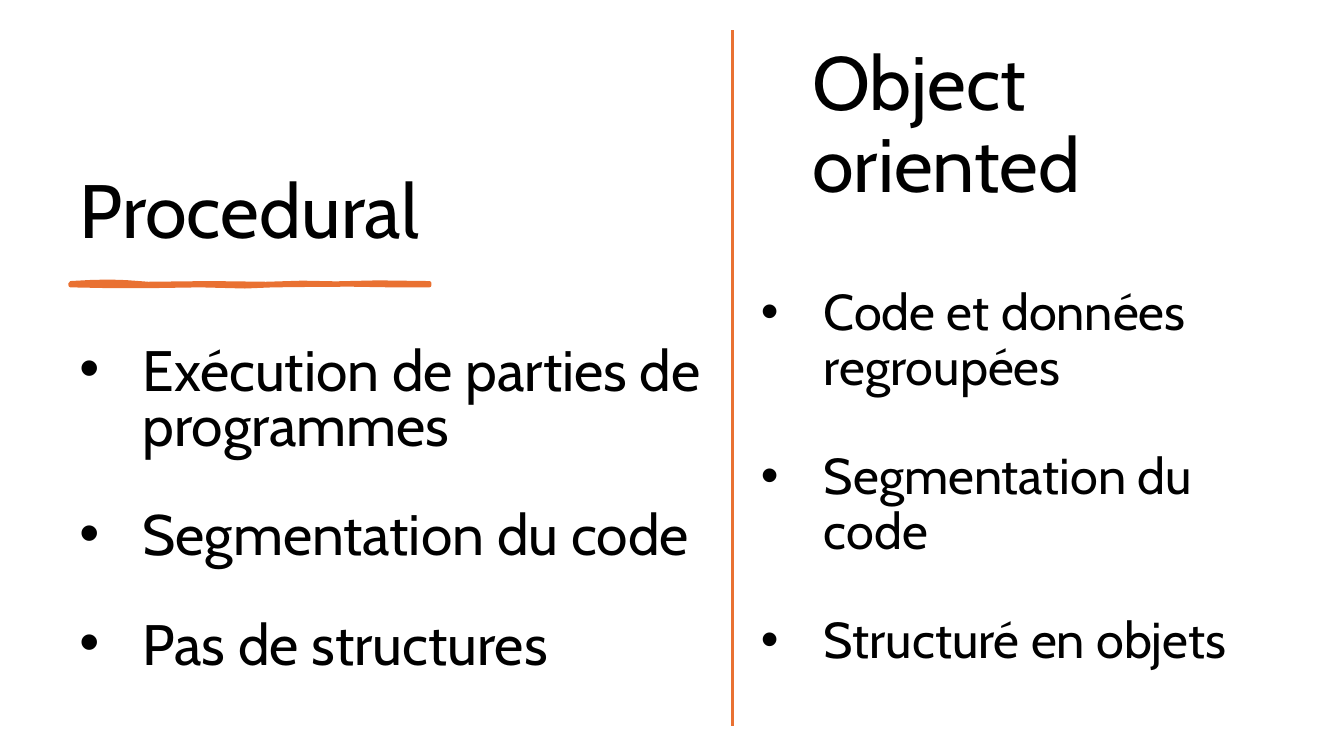
from dataclasses import dataclass

from pptx import Presentation
from pptx.dml.color import RGBColor
from pptx.enum.shapes import MSO_CONNECTOR as Connector
from pptx.enum.text import MSO_ANCHOR as Anchor
from pptx.oxml.ns import qn
from pptx.util import Pt
from lxml.etree import SubElement


@dataclass(frozen=True)
class Theme:
    font: str = "Cabin"
    ink: RGBColor = RGBColor(0x00, 0x00, 0x00)
    accent: RGBColor = RGBColor(0xE9, 0x71, 0x32)
    paper: RGBColor = RGBColor(0xFF, 0xFF, 0xFF)
    title_size: float = 54
    left_size: float = 40.7
    right_size: float = 36
    bullet_indent: float = 45
    bullet_gap: float = 39.3
    stroke_width: float = 3
    divider_width: float = 2


def apply_format(target, values):
    for name, value in values.items():
        setattr(target, name, value)


class SlideBuilder:
    def __init__(self, slide, theme):
        self.slide = slide
        self.theme = theme
        fill = slide.background.fill
        fill.solid()
        fill.fore_color.rgb = theme.paper

    def text(self, box, lines, size, spacing, anchor=Anchor.TOP, gap=0):
        shape = self.slide.shapes.add_textbox(*map(Pt, box))
        frame = shape.text_frame
        apply_format(frame, {"word_wrap": True, "vertical_anchor": anchor})
        frame.text = "\n".join(lines)
        for index, paragraph in enumerate(frame.paragraphs):
            apply_format(paragraph, {
                "line_spacing": spacing,
                "space_before": Pt(gap if index else 0),
            })
            apply_format(paragraph.runs[0].font, {"name": self.theme.font, "size": Pt(size)})
            paragraph.runs[0].font.color.rgb = self.theme.ink
        return frame

    def title(self, box, words):
        self.text(box, [words], self.theme.title_size, 0.9, Anchor.BOTTOM)

    def bullets(self, box, lines, size, spacing):
        frame = self.text(box, lines, size, spacing, gap=self.theme.bullet_gap)
        indent = Pt(self.theme.bullet_indent)
        for paragraph in frame.paragraphs:
            properties = paragraph._p.get_or_add_pPr()
            properties.set("marL", str(indent))
            properties.set("indent", str(-indent))
            SubElement(properties, qn("a:buFont"), typeface="Arial")
            SubElement(properties, qn("a:buChar"), char="•")

    def divider(self, x, top, bottom):
        line = self.slide.shapes.add_connector(
            Connector.STRAIGHT, Pt(x), Pt(top), Pt(x), Pt(bottom))
        line.line.color.rgb = self.theme.accent
        line.line.width = Pt(self.theme.divider_width)
        SubElement(line._element.spPr, qn("a:effectLst"))

    def brush_stroke(self, points):
        start, *others = [(Pt(x), Pt(y)) for x, y in points]
        builder = self.slide.shapes.build_freeform(*start)
        builder.add_line_segments(others, close=True)
        shape = builder.convert_to_shape()
        shape.shadow.inherit = False
        shape.fill.solid()
        shape.fill.fore_color.rgb = self.theme.accent
        shape.line.color.rgb = self.theme.accent
        shape.line.width = Pt(self.theme.stroke_width)


def main():
    presentation = Presentation()
    apply_format(presentation, {"slide_width": Pt(960), "slide_height": Pt(540)})
    theme = Theme()
    slide = presentation.slides.add_slide(presentation.slide_layouts[6])
    builder = SlideBuilder(slide, theme)

    builder.title((49.7, 50.4, 350, 135.4), "Procedural")
    builder.brush_stroke([
        (50.4, 202.3), (65, 201.5), (78, 201.2), (90, 201.6), (106, 202.8),
        (150, 202.3), (190, 202.8), (216, 202), (240, 202.5), (270, 201.8),
        (306.7, 202.3), (306.7, 203.8), (280, 203.8), (250, 203.3),
        (220, 203.5), (195, 203.8), (175, 204.6), (143, 203.8),
        (105, 204.4), (80, 204.4), (50.4, 203.8),
    ])
    builder.bullets(
        (49.7, 244.8, 461.5, 254.9),
        ["Exécution de parties de programmes", "Segmentation du code", "Pas de structures"],
        theme.left_size, 0.8)

    builder.divider(523.4, 21.6, 518.4)

    builder.title((573.1, 17.3, 350, 135.4), "Object oriented")
    builder.bullets(
        (536.4, 201.6, 392.4, 254.9),
        ["Code et données regroupées", "Segmentation du code", "Structuré en objets"],
        theme.right_size, 0.9)

    presentation.save("out.pptx")


if __name__ == "__main__":
    main()
